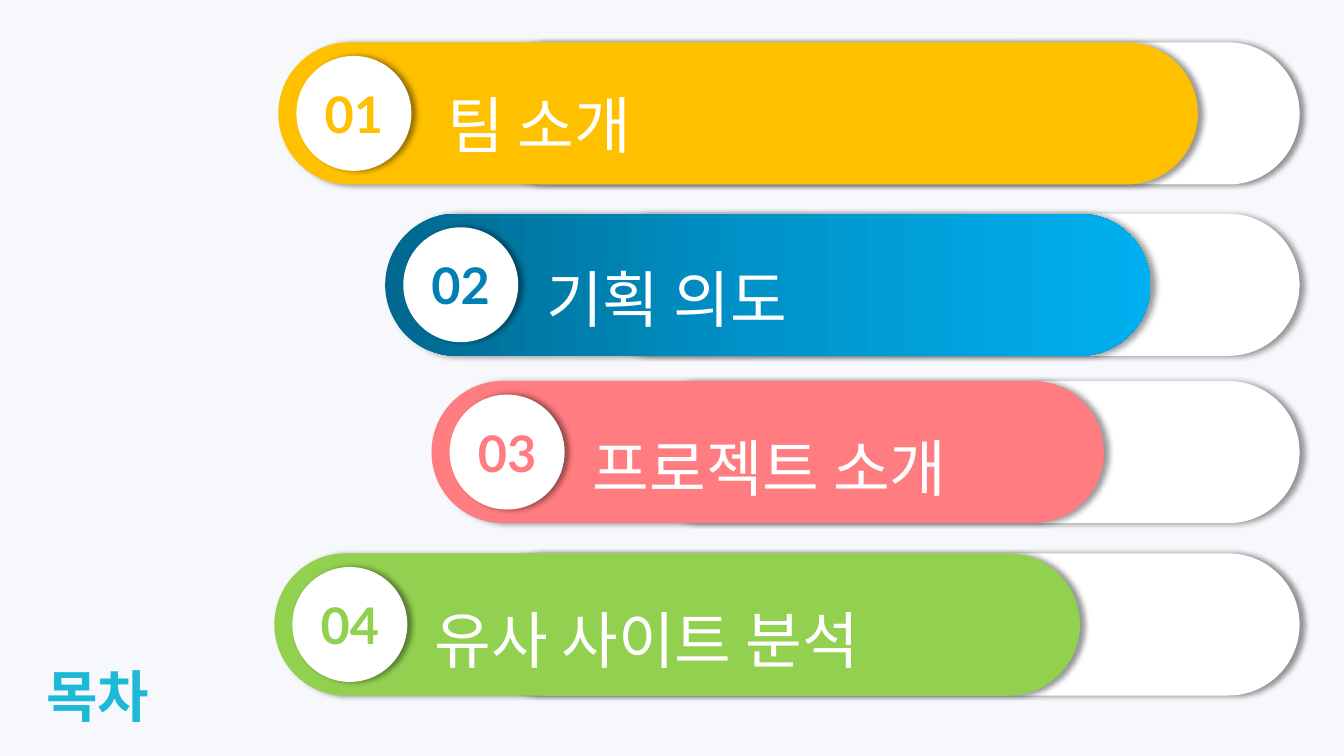
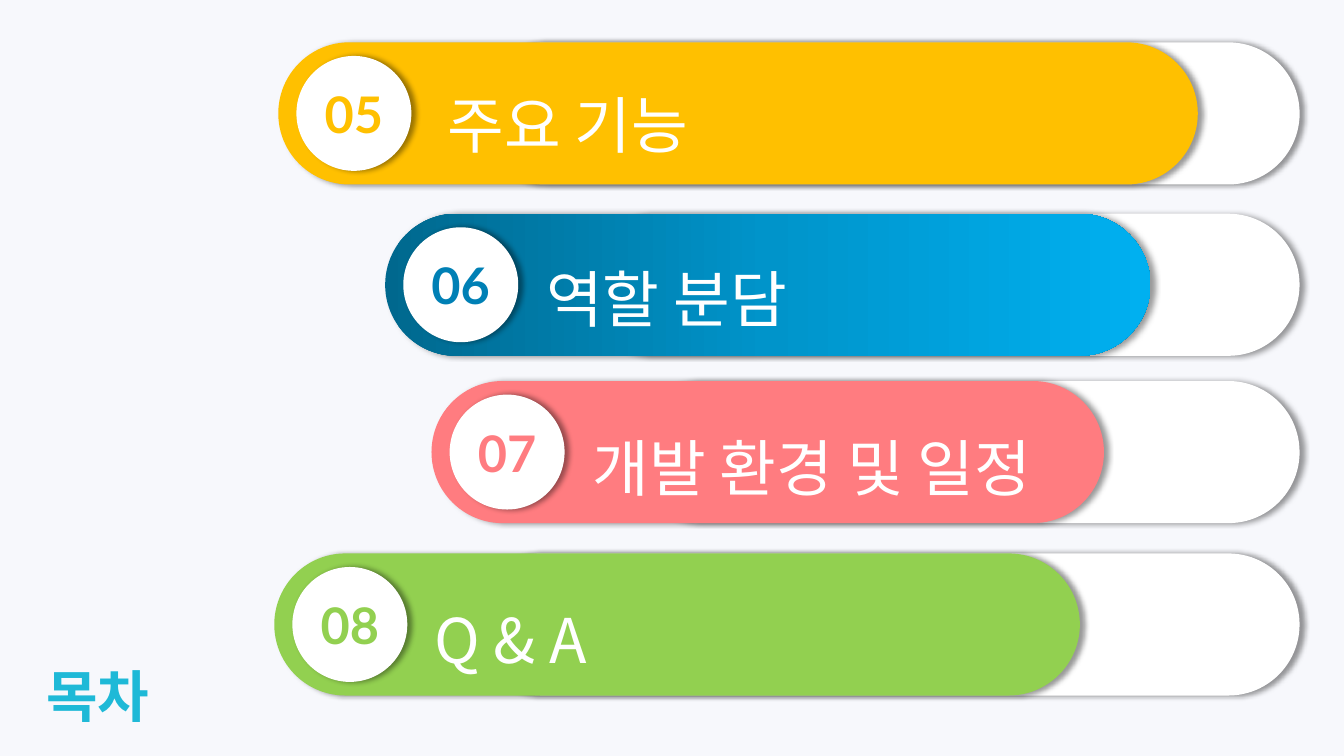
from copy import deepcopy

from lxml import etree
from pptx import Presentation
from pptx import util as u
from pptx.dml.color import RGBColor
from pptx.enum import shapes, text
from pptx.oxml.ns import qn

WHITE = "FFFFFF"
BACKGROUND = "F7F8FC"
TITLE_COLOR = "1EB9D7"
BLUES = ((0, "00688E"), (0.5, "0094CA"), (1, "00B0F0"))

TRACK_RIGHT, TRACK_OFFSET = 12.89, 1.94
BAR_HEIGHT, BADGE_SIZE = 1.41, 1.14
BADGE_DX, BADGE_DY = 0.18, (BAR_HEIGHT - BADGE_SIZE) / 2

ROWS = (
    (2.76, 0.42, 9.12, "FFC000", "FFC000", 1.58, 0.03),
    (3.82, 2.12, 7.59, BLUES, "0080B5", 1.5, 0.05),
    (4.28, 3.78, 6.67, "FF7C80", "FF7C80", 1.5, 0.07),
    (2.72, 5.49, 7.99, "92D050", "92D050", 1.49, 0.07),
)
LABEL_WIDTH, WIDE_LABEL = 4.5, 4.88
AGENDA = (
    (("팀 소개", LABEL_WIDTH), ("기획 의도", LABEL_WIDTH),
     ("프로젝트 소개", LABEL_WIDTH), ("유사 사이트 분석", LABEL_WIDTH)),
    (("주요 기능", LABEL_WIDTH), ("역할 분담", LABEL_WIDTH),
     ("개발 환경 및 일정", WIDE_LABEL), ("Q & A", LABEL_WIDTH)),
)


def rgb(value):
    """Turn a hex string into a colour."""
    return RGBColor.from_string(value)


class Deck:
    """Holds the shared style and the current slide."""

    def __init__(self):
        """Start a widescreen presentation."""
        self.file = Presentation()
        self.file.slide_width = u.Inches(13.33)
        self.file.slide_height = u.Inches(7.5)
        self.slide = None

    def new_slide(self, title):
        """Add a slide with the shared background and title."""
        self.slide = self.file.slides.add_slide(self.file.slide_layouts[5])
        self.slide.background.fill.solid()
        self.slide.background.fill.fore_color.rgb = rgb(BACKGROUND)
        heading = self.slide.shapes.title
        heading.left, heading.top = u.Inches(0.36), u.Inches(6.51)
        heading.width, heading.height = u.Inches(1.36), u.Inches(0.77)
        self.set_text(heading, title, 40, "Calibri", TITLE_COLOR, bold=True)
        heading.text_frame.auto_size = text.MSO_AUTO_SIZE.SHAPE_TO_FIT_TEXT

    def set_text(self, shape, words, size, font, color, bold=False,
                 align=text.PP_ALIGN.LEFT, anchor=text.MSO_ANCHOR.TOP):
        """Put one styled paragraph in a shape."""
        frame = shape.text_frame
        frame.word_wrap = True
        frame.vertical_anchor = anchor
        paragraph = frame.paragraphs[0]
        paragraph.text = words
        paragraph.alignment = align
        paragraph.font.size = u.Pt(size)
        paragraph.font.name = font
        paragraph.font.bold = bold
        paragraph.font.color.rgb = rgb(color)
        defaults = paragraph._p.pPr.find(qn("a:defRPr"))
        etree.SubElement(defaults, qn("a:ea"), typeface=font)
        return paragraph

    def cast_shadow(self, shape):
        """Give a shape a soft shadow to its right."""
        shape.shadow.inherit = False
        effects = shape._element.spPr.find(qn("a:effectLst"))
        shadow = etree.SubElement(
            effects, qn("a:outerShdw"), blurRad=str(u.Pt(4)),
            dist=str(u.Pt(3)), dir="0", algn="l", rotWithShape="0")
        color = etree.SubElement(shadow, qn("a:srgbClr"), val="000000")
        etree.SubElement(color, qn("a:alpha"), val="40000")

    def paint(self, shape, fill):
        """Fill a shape with one colour or with three gradient stops."""
        if isinstance(fill, str):
            shape.fill.solid()
            shape.fill.fore_color.rgb = rgb(fill)
            return
        shape.fill.gradient()
        shape.fill.gradient_angle = 0
        stop_list = shape._element.spPr.find(".//" + qn("a:gsLst"))
        stop_list.insert(1, deepcopy(stop_list[0]))
        for stop, (position, color) in zip(shape.fill.gradient_stops, fill):
            stop.position = position
            stop.color.rgb = rgb(color)

    def raised(self, kind, left, top, width, height, fill):
        """Add a shape without outline that casts the shared shadow."""
        shape = self.slide.shapes.add_shape(
            kind, u.Inches(left), u.Inches(top), u.Inches(width), u.Inches(height))
        self.paint(shape, fill)
        shape.line.fill.background()
        self.cast_shadow(shape)
        return shape

    def pill(self, left, top, width, fill):
        """Add a bar with fully rounded ends."""
        bar = self.raised(shapes.MSO_SHAPE.ROUNDED_RECTANGLE,
                          left, top, width, BAR_HEIGHT, fill)
        bar.adjustments[0] = 0.5

    def badge(self, left, top, number, color):
        """Add a white disc with a two-digit number."""
        disc = self.raised(shapes.MSO_SHAPE.OVAL, left, top,
                           BADGE_SIZE, BADGE_SIZE, WHITE)
        frame = disc.text_frame
        frame.margin_left = frame.margin_right = 0
        self.set_text(disc, f"{number:02d}", 36, "Lato", color, True,
                      text.PP_ALIGN.CENTER, text.MSO_ANCHOR.MIDDLE)

    def label(self, left, top, width, words):
        """Add the white text of an agenda item."""
        box = self.slide.shapes.add_textbox(
            u.Inches(left), u.Inches(top), u.Inches(width), u.Inches(1.08))
        paragraph = self.set_text(box, words, 44, "Noto Sans CJK KR", WHITE)
        paragraph.line_spacing = 1.5
        box.text_frame.auto_size = text.MSO_AUTO_SIZE.SHAPE_TO_FIT_TEXT

    def agenda_item(self, row, number, words, label_width):
        """Add a track, its bar, the number and the label."""
        left, top, width, fill, color, label_dx, label_dy = row
        track_left = left + TRACK_OFFSET
        self.pill(track_left, top, TRACK_RIGHT - track_left, WHITE)
        self.pill(left, top, width, fill)
        self.badge(left + BADGE_DX, top + BADGE_DY, number, color)
        self.label(left + label_dx, top + label_dy, label_width, words)


def main():
    """Build the agenda slides."""
    deck = Deck()
    number = 0
    for items in AGENDA:
        deck.new_slide("목차")
        for row, (words, label_width) in zip(ROWS, items):
            number += 1
            deck.agenda_item(row, number, words, label_width)
    deck.file.save("out.pptx")


if __name__ == "__main__":
    main()
